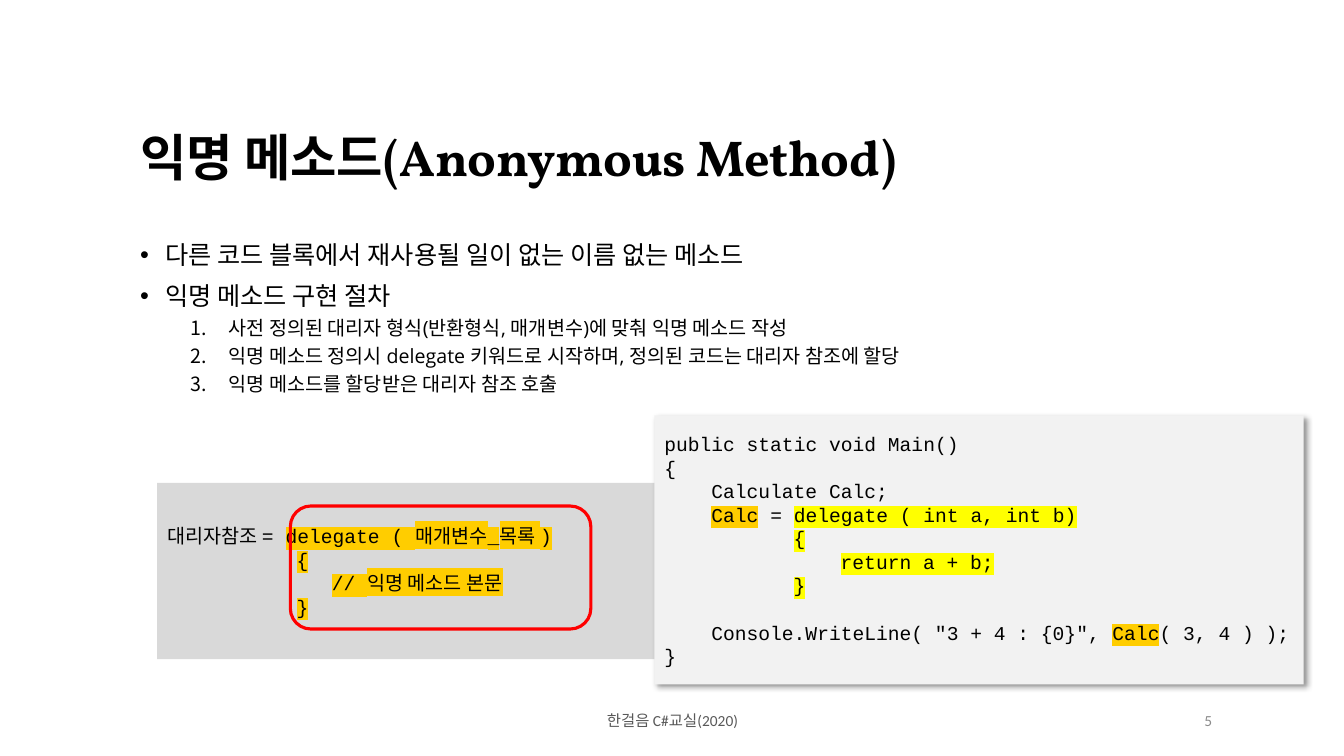
from pptx import Presentation
from pptx.util import Inches, Pt
from pptx.dml.color import RGBColor
from pptx.enum.shapes import MSO_SHAPE
from pptx.enum.text import MSO_ANCHOR, PP_ALIGN
from pptx.oxml import parse_xml
from pptx.oxml.ns import nsdecls
from lxml.etree import SubElement

tint = {"black": "000000", "foot": "595959", "page": "8C8C8C", "gray": "D9D9D9",
        "pale": "F2F2F2", "gold": "FFCD00", "yellow": "FFFF00", "red": "FF0000"}
deck = Presentation()
deck.slide_width, deck.slide_height = Inches(13.33), Inches(7.5)
slide = deck.slides.add_slide(deck.slide_layouts[6])


def style(run, size, font, color="black", mark=None):
    run.font.size = Pt(size)
    run.font.color.rgb = RGBColor.from_string(tint[color])
    if mark:
        run._r.get_or_add_rPr().append(parse_xml(
            f'<a:highlight {nsdecls("a")}><a:srgbClr val="{tint[mark]}"/></a:highlight>'))
    run.font.name = font


def indent(para, left, first=0):
    props = para._p.get_or_add_pPr()
    props.set("marL", str(Inches(left)))
    props.set("indent", str(Inches(first)))
    return props


for left, width, text, color, align in [
        (4.42, 4.5, "한걸음 C#교실(2020)", "foot", PP_ALIGN.CENTER),
        (9.42, 2.7, "5", "page", PP_ALIGN.RIGHT)]:
    frame = slide.shapes.add_textbox(Inches(left), Inches(6.95), Inches(width), Inches(0.4)).text_frame
    frame.word_wrap = True
    frame.vertical_anchor = MSO_ANCHOR.MIDDLE
    frame.text = text
    frame.paragraphs[0].alignment = align
    style(frame.paragraphs[0].runs[0], 11, "Calibri", color)

frame = slide.shapes.add_textbox(Inches(1.29), Inches(1.22), Inches(10.48), Inches(3.07)).text_frame
frame.word_wrap = True
frame.margin_top = frame.margin_bottom = Inches(0.1)
body = [
    ("title", 6, "익명 메소드(Anonymous Method)"),
    ("dot", 39.5, "다른 코드 블록에서 재사용될 일이 없는 이름 없는 메소드"),
    ("dot", 10, "익명 메소드 구현 절차"),
    ("step", 5, "사전 정의된 대리자 형식(반환형식, 매개변수)에 맞춰 익명 메소드 작성"),
    ("step", 5, "익명 메소드 정의시 delegate 키워드로 시작하며, 정의된 코드는 대리자 참조에 할당"),
    ("step", 5, "익명 메소드를 할당받은 대리자 참조 호출")]
frame.text = "\n".join(text for kind, gap, text in body)
for para, (kind, gap, text) in zip(frame.paragraphs, body):
    para.line_spacing = 0.9
    para.space_before = Pt(gap)
    run = para.runs[0]
    if kind == "title":
        style(run, 36, "Vollkorn")
        run.font.bold = True
    elif kind == "dot":
        style(run, 18, "Open Sans")
        props = indent(para, 0.25, -0.25)
        SubElement(props, props.tag.replace("pPr", "buFont"), typeface="Arial")
        SubElement(props, props.tag.replace("pPr", "buChar"), char="•")
    else:
        style(run, 14, "Open Sans")
        para.level = 1
        props = indent(para, 0.88, -0.38)
        SubElement(props, props.tag.replace("pPr", "buAutoNum"), type="arabicPeriod")

form = [
    (0, 0, [("대리자참조 = ", None), ("delegate ( 매개변수_목록 )", "gold")]),
    (11, 0, [("{", "gold")]),
    (14, 0, [("// 익명 메소드 본문", "gold")]),
    (11, 0, [("}", "gold")])]
main = [
    (0, 0, [("public static void Main()", None)]),
    (0, 0, [("{", None)]),
    (4, 0, [("Calculate Calc;", None)]),
    (4, 0, [("Calc", "gold"), (" = ", None), ("delegate ( int a, int b)", "yellow")]),
    (11, 0, [("{", "yellow")]),
    (15, 0, [("return a + b;", "yellow")]),
    (11, 0, [("}", "yellow")]),
    (4, 16.8, [('Console.WriteLine( "3 + 4 : {0}", ', None), ("Calc", "gold"), ("( 3, 4 ) );", None)]),
    (0, 0, [("}", None)])]
pitch = 14 * 0.6 / 72
for left, top, width, height, fill, code in [
        (1.56, 4.79, 5.96, 1.75, "gray", form),
        (6.49, 4.12, 6.44, 2.67, "pale", main)]:
    panel = slide.shapes.add_shape(MSO_SHAPE.RECTANGLE, Inches(left), Inches(top), Inches(width), Inches(height))
    panel.shadow.inherit = False
    panel.fill.solid()
    panel.fill.fore_color.rgb = RGBColor.from_string(tint[fill])
    panel.line.fill.background()
    frame = panel.text_frame
    frame.word_wrap = True
    frame.vertical_anchor = MSO_ANCHOR.MIDDLE
    frame.text = "\n" * (len(code) - 1)
    for para, (cols, gap, parts) in zip(frame.paragraphs, code):
        para.alignment = PP_ALIGN.LEFT
        para.space_before = Pt(gap)
        indent(para, cols * pitch)
        for text, mark in parts:
            run = para.add_run()
            run.text = text
            style(run, 14, "Courier New", mark=mark)

panel._element.spPr[-1].append(parse_xml(
    f'<a:outerShdw {nsdecls("a")} blurRad="{Pt(4)}" dist="{Pt(3)}" dir="2700000" algn="tl" rotWithShape="0">'
    f'<a:srgbClr val="{tint["black"]}"><a:alpha val="40000"/></a:srgbClr></a:outerShdw>'))

ring = slide.shapes.add_shape(MSO_SHAPE.ROUNDED_RECTANGLE, Inches(2.88), Inches(5.02), Inches(2.98), Inches(1.22))
ring.shadow.inherit = False
ring.fill.background()
ring.line.color.rgb = RGBColor.from_string(tint["red"])
ring.line.width = Pt(2.25)
deck.save("out.pptx")
